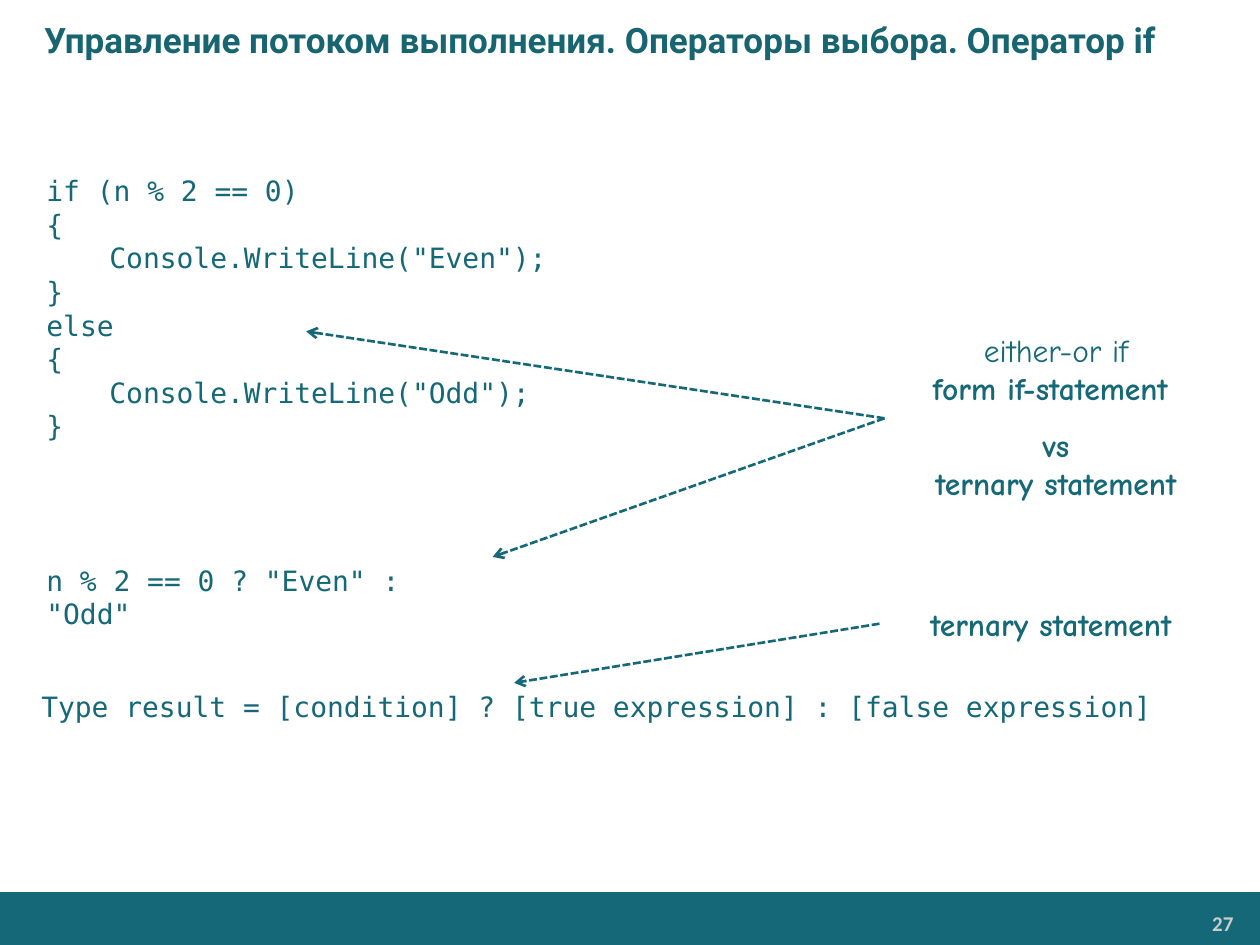
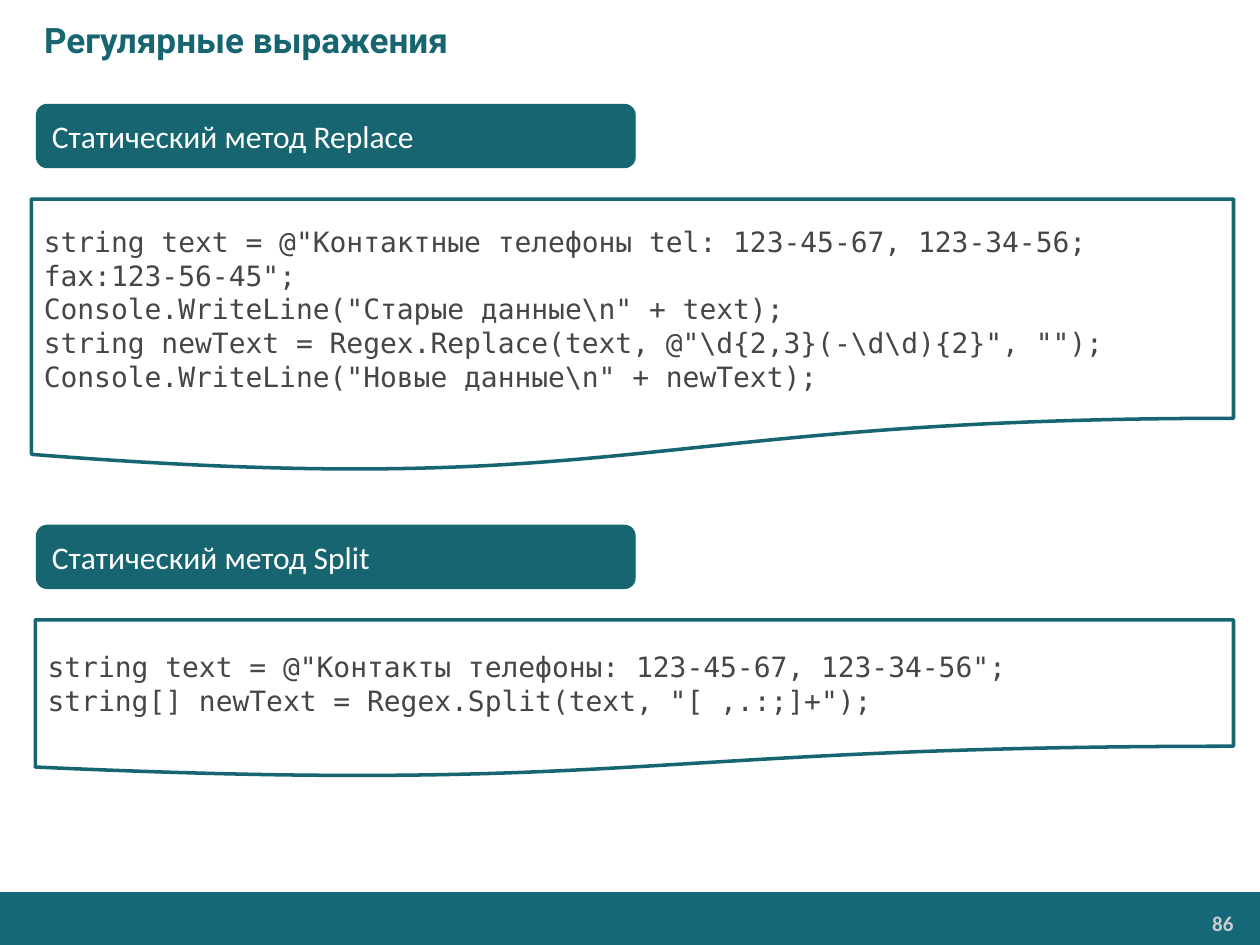
"""Build two C# lecture slides: the if operator and regular expressions."""
from lxml import etree
from pptx import Presentation
from pptx.dml.color import RGBColor
from pptx.enum.dml import MSO_LINE
from pptx.enum.shapes import MSO_CONNECTOR, MSO_SHAPE
from pptx.enum.text import MSO_ANCHOR, PP_ALIGN
from pptx.oxml.ns import qn
from pptx.util import Inches, Pt

TEAL = RGBColor(0x14, 0x68, 0x78)
DARK_TEAL = RGBColor(0x17, 0x65, 0x71)
GREY = RGBColor(0x46, 0x45, 0x47)
LIGHT_GREY = RGBColor(0xCC, 0xCC, 0xCC)
WHITE = RGBColor(0xFF, 0xFF, 0xFF)

LEFT, CENTER, RIGHT = PP_ALIGN.LEFT, PP_ALIGN.CENTER, PP_ALIGN.RIGHT
TOP, MIDDLE = MSO_ANCHOR.TOP, MSO_ANCHOR.MIDDLE
RECT, ROUNDED = MSO_SHAPE.RECTANGLE, MSO_SHAPE.ROUNDED_RECTANGLE
DOCUMENT = MSO_SHAPE.FLOWCHART_DOCUMENT
STRAIGHT, DASH = MSO_CONNECTOR.STRAIGHT, MSO_LINE.SQUARE_DOT

TITLE = dict(name="Roboto", size=Pt(20), bold=True, color=DARK_TEAL)
NUMBER = dict(name="Calibri", size=Pt(12), bold=True, color=LIGHT_GREY)
CODE = dict(name="DejaVu Sans Mono", size=Pt(16), color=TEAL)
LISTING = {**CODE, "color": GREY}
NOTE = dict(name="Comic Neue", size=Pt(18), color=TEAL)
BOLD_NOTE = {**NOTE, "bold": True}
HEADING = dict(name="Calibri", size=Pt(18), color=WHITE)

IF_CODE = [
    "if (n % 2 == 0)",
    "{",
    '\tConsole.WriteLine("Even");',
    "}",
    "else",
    "{",
    '\tConsole.WriteLine("Odd");',
    "}",
]
CODE_BOXES = [
    ((0.27, 1.33, 8.58, 2.26), IF_CODE),
    ((0.27, 4.42, 3.64, 0.37), ['n % 2 == 0 ? "Even" : "Odd"']),
    ((0.23, 5.42, 9.36, 0.37),
     ["Type result = [condition] ? [true expression] : [false expression]"]),
]
COMPARISON = ["either-or if", "form if-statement ", "vs", "ternary statement"]
ARROWS = [
    (7.02, 3.32, 2.43, 2.63),
    (7.02, 3.32, 3.91, 4.42),
    (6.98, 4.95, 4.08, 5.42),
]

METHODS = [
    (0.83, "Статический метод Replace", 0.25, 2.17, [
        'string text = @"Контактные телефоны tel: 123-45-67, 123-34-56; fax:123-56-45";',
        r'Console.WriteLine("Старые данные\n" + text);',
        r'string newText = Regex.Replace(text, @"\d{2,3}(-\d\d){2}", "");',
        r'Console.WriteLine("Новые данные\n" + newText);',
    ]),
    (4.17, "Статический метод Split", 0.28, 1.25, [
        'string text = @"Контакты телефоны: 123-45-67, 123-34-56";',
        'string[] newText = Regex.Split(text, "[ ,.:;]+");',
    ]),
]
LISTING_DROP = 0.75
LISTING_RIGHT = 9.79


def style(font, look):
    for key, value in look.items():
        if key == "color":
            font.color.rgb = value
        else:
            setattr(font, key, value)


def write(s, lines, look, align=LEFT, anchor=TOP):
    tf = s.text_frame
    tf.word_wrap = True
    tf.vertical_anchor = anchor
    for i, line in enumerate(lines):
        p = tf.add_paragraph() if i else tf.paragraphs[0]
        p.alignment = align
        r = p.add_run()
        r.text = line
        style(r.font, look)
    return tf


def add_text(sp, box, lines, look, **layout):
    return write(sp.add_textbox(*map(Inches, box)), lines, look, **layout)


def add_block(sp, kind, box, fill, line=None, width=0):
    s = sp.add_shape(kind, *map(Inches, box))
    s.shadow.inherit = False
    s.fill.solid()
    s.fill.fore_color.rgb = fill
    if line is None:
        s.line.fill.background()
    else:
        s.line.color.rgb = line
        s.line.width = Pt(width)
    return s


def add_arrow(sp, ends):
    s = sp.add_connector(STRAIGHT, *map(Inches, ends))
    s.line.color.rgb = TEAL
    s.line.width = Pt(1.5)
    s.line.dash_style = DASH
    etree.SubElement(s.line._get_or_add_ln(), qn("a:tailEnd"), type="arrow")
    etree.SubElement(s._element.spPr, qn("a:effectLst"))


def add_slide(prs, title, number):
    sp = prs.slides.add_slide(prs.slide_layouts[6]).shapes
    add_block(sp, RECT, (0, 7.08, 10.01, 0.43), TEAL)
    tf = add_text(sp, (8.23, 7.19, 1.63, 0.28), [number], NUMBER, align=RIGHT)
    tf.margin_left = tf.margin_right = Inches(0.07)
    tf.margin_top = tf.margin_bottom = Inches(0.04)
    tf = add_text(sp, (0, 0, 10, 0.63), [title], TITLE, anchor=MIDDLE)
    tf.margin_left = Inches(0.35)
    return sp


def build_if_slide(prs):
    sp = add_slide(prs, "Управление потоком выполнения. Операторы выбора. Оператор if", "27")
    for box, lines in CODE_BOXES:
        add_text(sp, box, lines, CODE)
    tf = add_text(sp, (7.02, 2.58, 2.72, 1.46), COMPARISON, BOLD_NOTE, align=CENTER)
    style(tf.paragraphs[0].runs[0].font, {"bold": False})
    tf.paragraphs[2].line_spacing = 1.5
    add_text(sp, (6.98, 4.75, 2.72, 0.4), COMPARISON[-1:], BOLD_NOTE, align=CENTER)
    for ends in ARROWS:
        add_arrow(sp, ends)


def build_regex_slide(prs):
    sp = add_slide(prs, "Регулярные выражения", "86")
    for top, heading, left, height, lines in METHODS:
        s = add_block(sp, ROUNDED, (0.29, top, 4.75, 0.5), DARK_TEAL, DARK_TEAL, 0.75)
        write(s, [heading], HEADING, anchor=MIDDLE)
        box = (left, top + LISTING_DROP, LISTING_RIGHT - left, height)
        s = add_block(sp, DOCUMENT, box, WHITE, DARK_TEAL, 2)
        write(s, lines, LISTING, anchor=MIDDLE)


def main():
    prs = Presentation()
    prs.slide_width, prs.slide_height = Inches(10), Inches(7.5)
    build_if_slide(prs)
    build_regex_slide(prs)
    prs.save("out.pptx")


if __name__ == "__main__":
    main()
